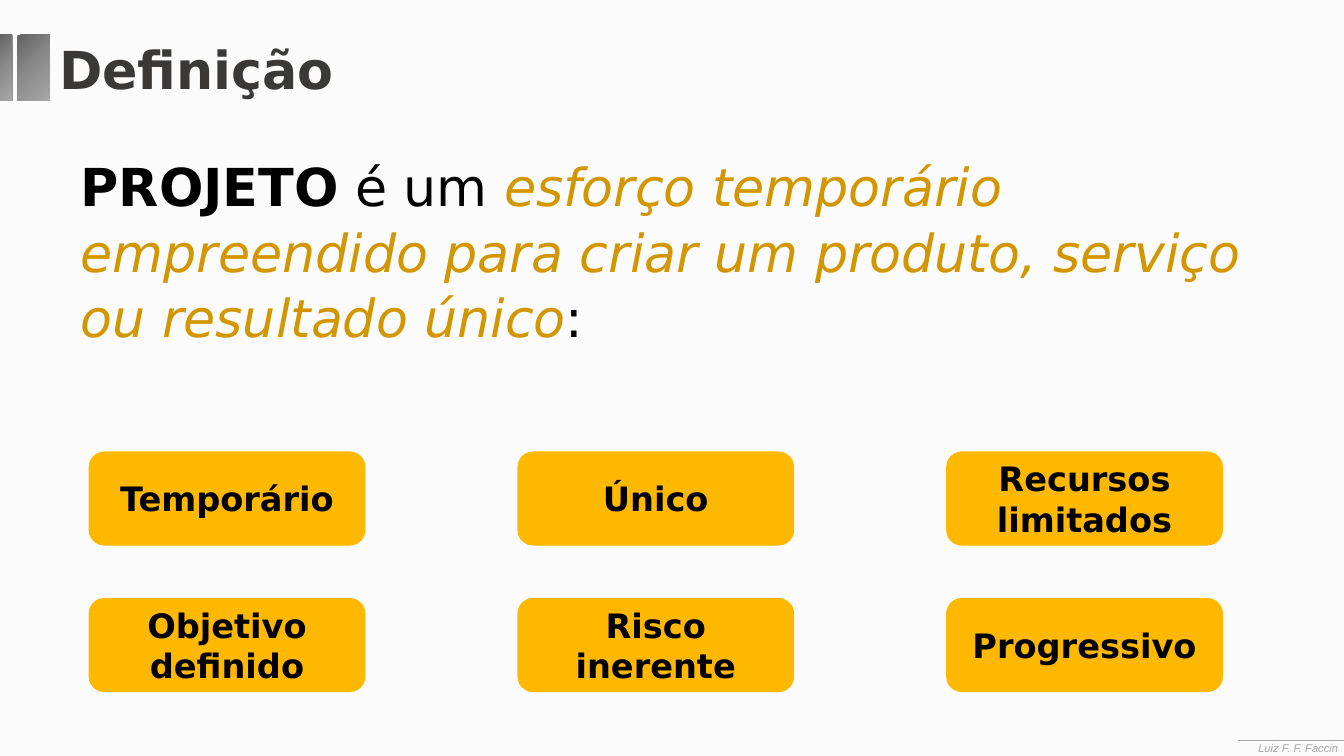
from copy import deepcopy

from lxml import etree
from pptx import Presentation
from pptx.dml.color import RGBColor
from pptx.enum import shapes, text
from pptx.oxml import ns
from pptx.util import Inches, Pt

BLACK = RGBColor(0x00, 0x00, 0x00)
DARK = RGBColor(0x3B, 0x38, 0x38)
GOLD = RGBColor(0xD2, 0x96, 0x00)
AMBER = RGBColor(0xFF, 0xB8, 0x00)
PAPER = RGBColor(0xFB, 0xFB, 0xFB)
GREY = RGBColor(0xA6, 0xA6, 0xA6)
SHADES = [(0, RGBColor(0x62, 0x62, 0x62)), (0.5, RGBColor(0x8C, 0x8C, 0x8C)), (1, GREY)]
KIND = shapes.MSO_SHAPE
ALIGN = text.PP_ALIGN
ANCHOR = text.MSO_ANCHOR


class Deck:
    font = "DejaVu Sans"

    def __init__(self, slide):
        self.slide = slide

    def style(self, run, size, color, bold=False, italic=False, font=None):
        face = run.font
        face.name = font or self.font
        face.size = Pt(size)
        face.color.rgb = color
        face.bold = bold
        face.italic = italic

    def place(self, shape, x, y, w, h):
        shape.left, shape.top = Inches(x), Inches(y)
        shape.width, shape.height = Inches(w), Inches(h)

    def block(self, kind, x, y, w, h, color=None):
        shape = self.slide.shapes.add_shape(kind, Inches(x), Inches(y), Inches(w), Inches(h))
        shape.shadow.inherit = False
        shape.line.fill.background()
        if color is not None:
            shape.fill.solid()
            shape.fill.fore_color.rgb = color
        return shape

    def bar(self, x, y, w, h):
        fill = self.block(KIND.RECTANGLE, x, y, w, h).fill
        fill.gradient()
        fill.gradient_angle = 315
        # A new gradient has two stops; a third goes after them
        stops = fill._fill._gradFill.find(ns.qn("a:gsLst"))
        stops.append(deepcopy(stops[-1]))
        for stop, (pos, color) in zip(fill.gradient_stops, SHADES):
            stop.position = pos
            stop.color.rgb = color

    def card(self, label, x, y, w, h):
        frame = self.block(KIND.ROUNDED_RECTANGLE, x, y, w, h, AMBER).text_frame
        frame.text = label
        frame.word_wrap = True
        frame.vertical_anchor = ANCHOR.MIDDLE
        para = frame.paragraphs[0]
        para.alignment = ALIGN.CENTER
        self.style(para.runs[0], 18, BLACK, bold=True)

    def rule(self, x, y, end):
        line = self.slide.shapes.add_connector(
            shapes.MSO_CONNECTOR.STRAIGHT, Inches(x), Inches(y), Inches(end), Inches(y))
        line.line.color.rgb = GREY
        line.line.width = Pt(0.5)
        etree.SubElement(line._element.spPr, ns.qn("a:effectLst"))

    def note(self, words, x, y, w, h):
        box = self.slide.shapes.add_textbox(Inches(x), Inches(y), Inches(w), Inches(h))
        box.text_frame.text = words
        box.text_frame.word_wrap = True
        para = box.text_frame.paragraphs[0]
        para.alignment = ALIGN.CENTER
        self.style(para.runs[0], 6, GREY, italic=True, font="Arial")

    def title(self, words, x, y, w, h):
        shape = self.slide.shapes.title
        self.place(shape, x, y, w, h)
        frame = shape.text_frame
        frame.text = words
        frame.auto_size = text.MSO_AUTO_SIZE.NONE
        frame.vertical_anchor = ANCHOR.TOP
        para = frame.paragraphs[0]
        para.alignment = ALIGN.LEFT
        self.style(para.runs[0], 28, DARK, bold=True)

    def body(self, parts, x, y, w, h):
        shape = self.slide.placeholders[1]
        self.place(shape, x, y, w, h)
        frame = shape.text_frame
        frame.auto_size = text.MSO_AUTO_SIZE.NONE
        frame.vertical_anchor = ANCHOR.TOP
        para = frame.paragraphs[0]
        props = para._p.get_or_add_pPr()
        props.set("marL", "0")
        props.set("indent", "0")
        etree.SubElement(props, ns.qn("a:buNone"))
        para.line_spacing = Pt(35)
        para.space_before = Pt(0)
        para.space_after = Pt(6)
        for words, look in parts:
            run = para.add_run()
            run.text = words
            self.style(run, 28, **look)


def main():
    prs = Presentation()
    # Widescreen, 16:9
    prs.slide_width, prs.slide_height = Inches(10), Inches(10 * 9 / 16)
    deck = Deck(prs.slides.add_slide(prs.slide_layouts[1]))

    # Background and title bars
    fill = deck.slide.background.fill
    fill.solid()
    fill.fore_color.rgb = PAPER
    deck.bar(0.13, 0.26, 0.24, 0.49)
    deck.bar(-0.02, 0.26, 0.11, 0.49)

    # Author line
    deck.rule(9.21, 5.51, 10)
    deck.note("Luiz F. F. Faccin", 8.96, 5.47, 1.4, 0.2)

    # Title and definition
    deck.title("Definição", 0.34, 0.23, 3.05, 0.57)
    plain = {"color": BLACK}
    deck.body([
        ("PROJETO", {"color": BLACK, "bold": True}),
        (" é um ", plain),
        ("esforço temporário empreendido para criar um produto, serviço ou resultado único",
         {"color": GOLD, "italic": True}),
        (":", plain),
    ], 0.5, 1.08, 9, 1.82)

    # Grid of traits
    traits = [
        ["Temporário", "Único", "Recursos limitados"],
        ["Objetivo definido", "Risco inerente", "Progressivo"],
    ]
    for row, labels in enumerate(traits):
        for col, label in enumerate(labels):
            deck.card(label, 0.66 + 3.19 * col, 3.36 + 1.09 * row, 2.06, 0.7)

    prs.save("out.pptx")


if __name__ == "__main__":
    main()
